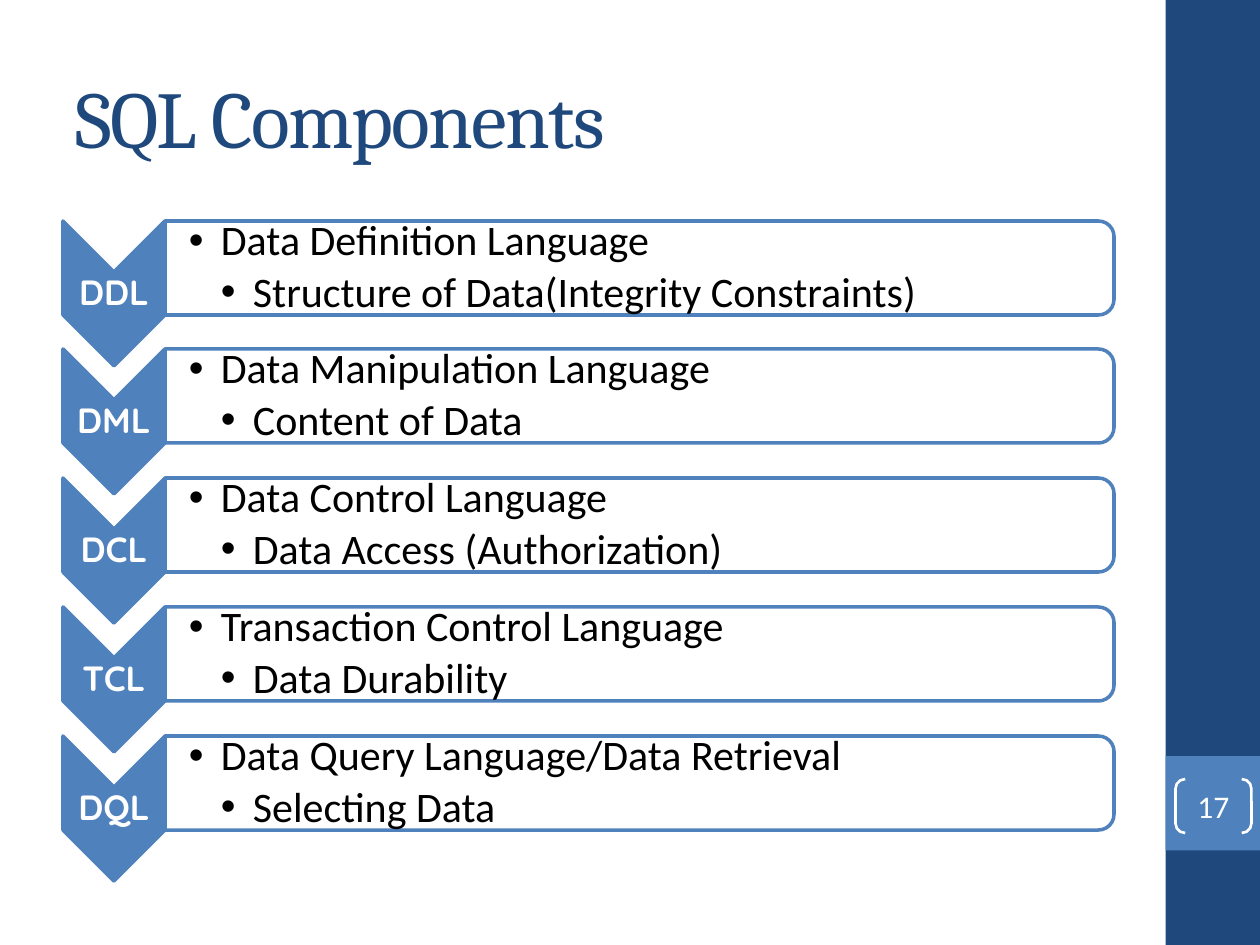
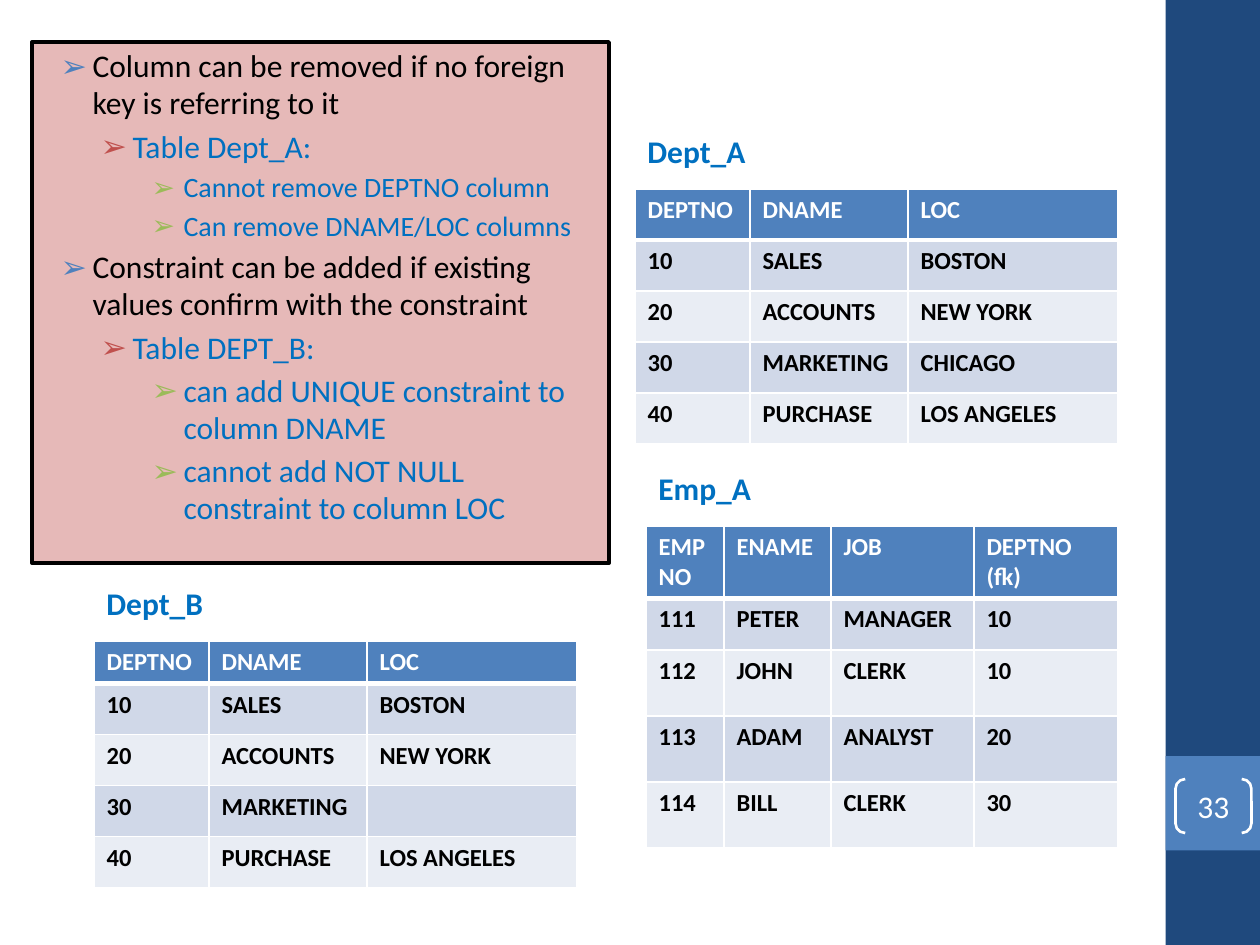
from dataclasses import dataclass

from lxml.etree import SubElement
from pptx import Presentation
from pptx.dml.color import RGBColor
from pptx.enum.shapes import MSO_SHAPE
from pptx.enum.text import MSO_ANCHOR, MSO_AUTO_SIZE, PP_ALIGN
from pptx.oxml.ns import qn
from pptx.util import Emu, Pt


@dataclass(frozen=True)
class Theme:
    navy: str = "1F497D"
    blue: str = "4F81BD"
    red: str = "C0504D"
    green: str = "9BBB59"
    link: str = "0070C0"
    pink: str = "E6B9B8"
    row_odd: str = "D0D8E8"
    row_even: str = "E9EDF4"
    white: str = "FFFFFF"
    black: str = "000000"
    title_font: str = "Cambria"
    body_font: str = "Calibri"
    label_font: str = "Quicksand"
    title_size: int = 46
    bar_size: int = 24
    label_size: int = 20
    text_size: int = 18
    small_size: int = 16
    cell_size: int = 14


T = Theme()
PX_PER_INCH = 126

COMPONENTS = [
    ("DDL", "Data Definition Language", "Structure of Data(Integrity Constraints)"),
    ("DML", "Data Manipulation Language", "Content of Data"),
    ("DCL", "Data Control Language", "Data Access (Authorization)"),
    ("TCL", "Transaction Control Language", "Data Durability"),
    ("DQL", "Data Query Language/Data Retrieval", "Selecting Data"),
]

RULES = [
    (0, "Column can be removed if no foreign key is referring to it", T.text_size),
    (1, "Table Dept_A:", T.text_size),
    (2, "Cannot remove DEPTNO column", T.small_size),
    (2, "Can remove DNAME/LOC columns", T.small_size),
    (0, "Constraint can be added if existing values confirm with the constraint", T.text_size),
    (1, "Table DEPT_B:", T.text_size),
    (2, "can add UNIQUE constraint to column DNAME", T.text_size),
    (2, "cannot add NOT NULL constraint to column LOC", T.text_size),
]
RULE_LEVELS = [(48, T.blue, T.black), (88, T.red, T.link), (139, T.green, T.link)]

DEPT_HEAD = ["DEPTNO", "DNAME", "LOC"]
DEPT_COLS = [115, 158, 210]
DEPT_A = [
    DEPT_HEAD,
    ["10", "SALES", "BOSTON"],
    ["20", "ACCOUNTS", "NEW YORK"],
    ["30", "MARKETING", "CHICAGO"],
    ["40", "PURCHASE", "LOS ANGELES"],
]
DEPT_B = [
    DEPT_HEAD,
    ["10", "SALES", "BOSTON"],
    ["20", "ACCOUNTS", "NEW YORK"],
    ["30", "MARKETING", ""],
    ["40", "PURCHASE", "LOS ANGELES"],
]
EMP_A = [
    ["EMPNO", "ENAME", "JOB", "DEPTNO (fk)"],
    ["111", "PETER", "MANAGER", "10"],
    ["112", "JOHN", "CLERK", "10"],
    ["113", "ADAM", "ANALYST", "20"],
    ["114", "BILL", "CLERK", "30"],
]


def px(n):
    return Emu(round(n * 914400 / PX_PER_INCH))


def rgb(color):
    return RGBColor.from_string(color)


def add_bullet(p, char, color, left, hang):
    pPr = p._p.get_or_add_pPr()
    pPr.set("marL", str(px(left)))
    pPr.set("indent", str(-px(hang)))
    SubElement(SubElement(pPr, qn("a:buClr")), qn("a:srgbClr"), val=color)
    SubElement(pPr, qn("a:buFont"), typeface="Arial")
    SubElement(pPr, qn("a:buChar"), char=char)


def write(tf, text, size=T.text_size, font=T.body_font, color=T.black, bold=False,
          align=PP_ALIGN.LEFT, level=0, line=None, before=None, after=None,
          bullet=None, tracking=None):
    p = tf.paragraphs[-1]
    if p.text:
        p = tf.add_paragraph()
    p.level, p.alignment = level, align
    if line:
        p.line_spacing = line
    if before is not None:
        p.space_before = Pt(before)
    if after is not None:
        p.space_after = Pt(after)
    if bullet:
        add_bullet(p, *bullet)
    r = p.add_run()
    r.text = text
    r.font.size, r.font.name, r.font.bold = Pt(size), font, bold
    r.font.color.rgb = rgb(color)
    if tracking:
        r.font._element.set("spc", str(tracking))


def place(sp, x, y, w, h):
    sp.left, sp.top, sp.width, sp.height = px(x), px(y), px(w), px(h)


def set_frame(tf, anchor=MSO_ANCHOR.TOP, insets=None):
    tf.word_wrap = True
    tf.auto_size = MSO_AUTO_SIZE.NONE
    tf.vertical_anchor = anchor
    if insets:
        tf.margin_left, tf.margin_top, tf.margin_right, tf.margin_bottom = map(px, insets)
    return tf


def add_text(s, x, y, w, h, **frame):
    return set_frame(s.shapes.add_textbox(px(x), px(y), px(w), px(h)).text_frame, **frame)


def paint(sp, fill=None, line=None, width=2):
    if fill:
        sp.fill.solid()
        sp.fill.fore_color.rgb = rgb(fill)
    else:
        sp.fill.background()
    if line:
        sp.line.color.rgb = rgb(line)
        sp.line.width = Pt(width)
    else:
        sp.line.fill.background()


def add_preset(s, kind, x, y, w, h, **style):
    sp = s.shapes.add_shape(kind, px(x), px(y), px(w), px(h))
    sp.shadow.inherit = False
    paint(sp, **style)
    return sp


def add_turned(s, kind, x, y, w, h, **style):
    shift = (w - h) / 2
    sp = add_preset(s, kind, x + shift, y - shift, h, w, **style)
    sp.rotation = 90
    return sp


def add_side_band(s, number, x=1165.5, w=94.5):
    add_preset(s, MSO_SHAPE.RECTANGLE, x, 0, w, 945, fill=T.navy)
    add_preset(s, MSO_SHAPE.RECTANGLE, x, 756, w, w, fill=T.blue)
    sp = add_preset(s, MSO_SHAPE.DOUBLE_BRACKET, x + 10, 779, 76, 54, line=T.white, width=1.5)
    sp.adjustments[0] = 0.18
    tf = set_frame(sp.text_frame, anchor=MSO_ANCHOR.MIDDLE, insets=(0, 0, 0, 0))
    write(tf, number, color=T.white, align=PP_ALIGN.CENTER)


def add_title(s, text):
    sp = s.shapes.title
    place(sp, 63, 38, 1050, 157)
    tf = set_frame(sp.text_frame, anchor=MSO_ANCHOR.MIDDLE)
    write(tf, text, size=T.title_size, font=T.title_font, color=T.navy, tracking=-100)


def add_component(s, x, y, label, name, detail):
    arrow_w, bar_w, bar_h = 102, 949, 94
    add_turned(s, MSO_SHAPE.CHEVRON, x, y, arrow_w, 145, fill=T.blue, line=T.blue)
    tf = add_text(s, x, y + 51, arrow_w, 44, anchor=MSO_ANCHOR.MIDDLE, insets=(1, 1, 1, 1))
    write(tf, label, size=T.label_size, font=T.label_font, color=T.white, bold=True,
          align=PP_ALIGN.CENTER, line=0.9, after=7)
    bar_x = x + arrow_w
    add_turned(s, MSO_SHAPE.ROUND_2_SAME_RECTANGLE, bar_x, y, bar_w, bar_h,
               fill=T.white, line=T.blue)
    tf = add_text(s, bar_x, y + 4, bar_w - 5, bar_h - 8,
                  anchor=MSO_ANCHOR.MIDDLE, insets=(24, 2, 2, 2))
    for level, text in enumerate((name, detail), 1):
        write(tf, text, size=T.bar_size, level=level, line=0.9, before=0, after=3.6,
              bullet=("•", T.black, 32 * level, 32))


def add_rules(s, sp, x, y, w, h):
    place(sp, x, y, w, h)
    paint(sp, fill=T.pink, line=T.black, width=2.25)
    tf = set_frame(sp.text_frame)
    for level, text, size in RULES:
        indent, bullet_color, color = RULE_LEVELS[level]
        write(tf, text, size=size, color=color, level=level, line=0.98, before=size * 0.2,
              bullet=("➢", bullet_color, indent, 32))


def set_borders(cell, top, bottom):
    tcPr = cell._tc.get_or_add_tcPr()
    for side, width in (("L", 1), ("R", 1), ("T", top), ("B", bottom)):
        ln = SubElement(tcPr, qn(f"a:ln{side}"), w=str(Pt(width)))
        SubElement(SubElement(ln, qn("a:solidFill")), qn("a:srgbClr"), val=T.white)


def add_data_table(s, x, y, caption, data, cols, rows):
    write(add_text(s, x, y, 150, 50), caption, color=T.link, bold=True)
    table = s.shapes.add_table(len(rows), len(cols), px(x), px(y + 63),
                               px(sum(cols)), px(sum(rows))).table
    for column, w in zip(table.columns, cols):
        column.width = px(w)
    for i, (row, h) in enumerate(zip(data, rows)):
        table.rows[i].height = px(h)
        fill = T.blue if i == 0 else T.row_odd if i % 2 else T.row_even
        for j, text in enumerate(row):
            cell = table.cell(i, j)
            set_borders(cell, top=3 if i == 1 else 1, bottom=3 if i == 0 else 1)
            cell.fill.solid()
            cell.fill.fore_color.rgb = rgb(fill)
            if text:
                write(cell.text_frame, text, size=T.cell_size, bold=True,
                      color=T.black if i else T.white)


def build_components(prs):
    s = prs.slides.add_slide(prs.slide_layouts.get_by_name("Title Only"))
    add_title(s, "SQL Components")
    for i, component in enumerate(COMPONENTS):
        add_component(s, 63, 221 + i * 515 // 4, *component)
    add_side_band(s, "17")


def build_constraints(prs):
    s = prs.slides.add_slide(prs.slide_layouts.get_by_name("Title and Content"))
    title = s.shapes.title.element
    title.getparent().remove(title)
    add_rules(s, s.placeholders[1], 32, 42, 577, 521)
    add_side_band(s, "33")
    add_data_table(s, 635, 126, "Dept_A", DEPT_A, DEPT_COLS, [51] * 5)
    add_data_table(s, 646, 463, "Emp_A", EMP_A, [78, 107, 143, 144], [72, 52, 66, 66, 66])
    add_data_table(s, 94, 578, "Dept_B", DEPT_B, DEPT_COLS, [42] + [51] * 4)


def main():
    prs = Presentation()
    prs.slide_width, prs.slide_height = px(1260), px(945)
    build_components(prs)
    build_constraints(prs)
    prs.save("out.pptx")


if __name__ == "__main__":
    main()
